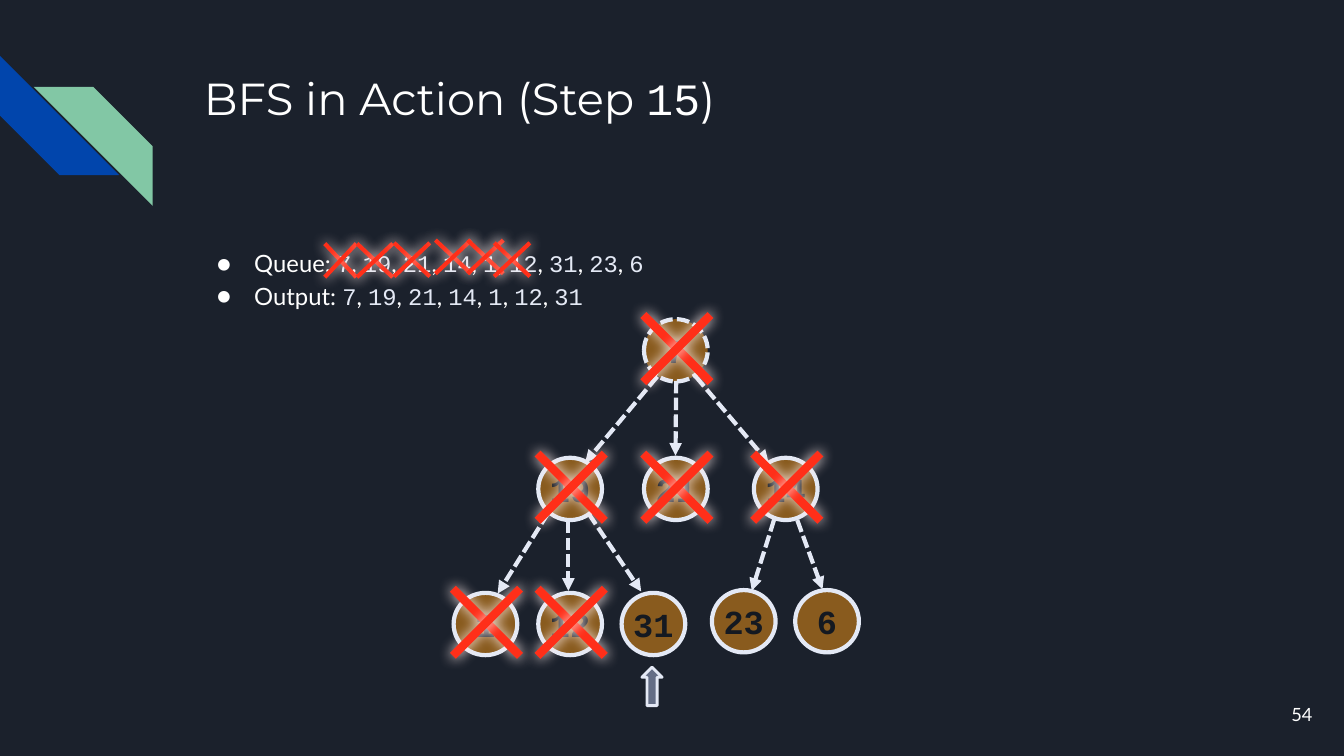
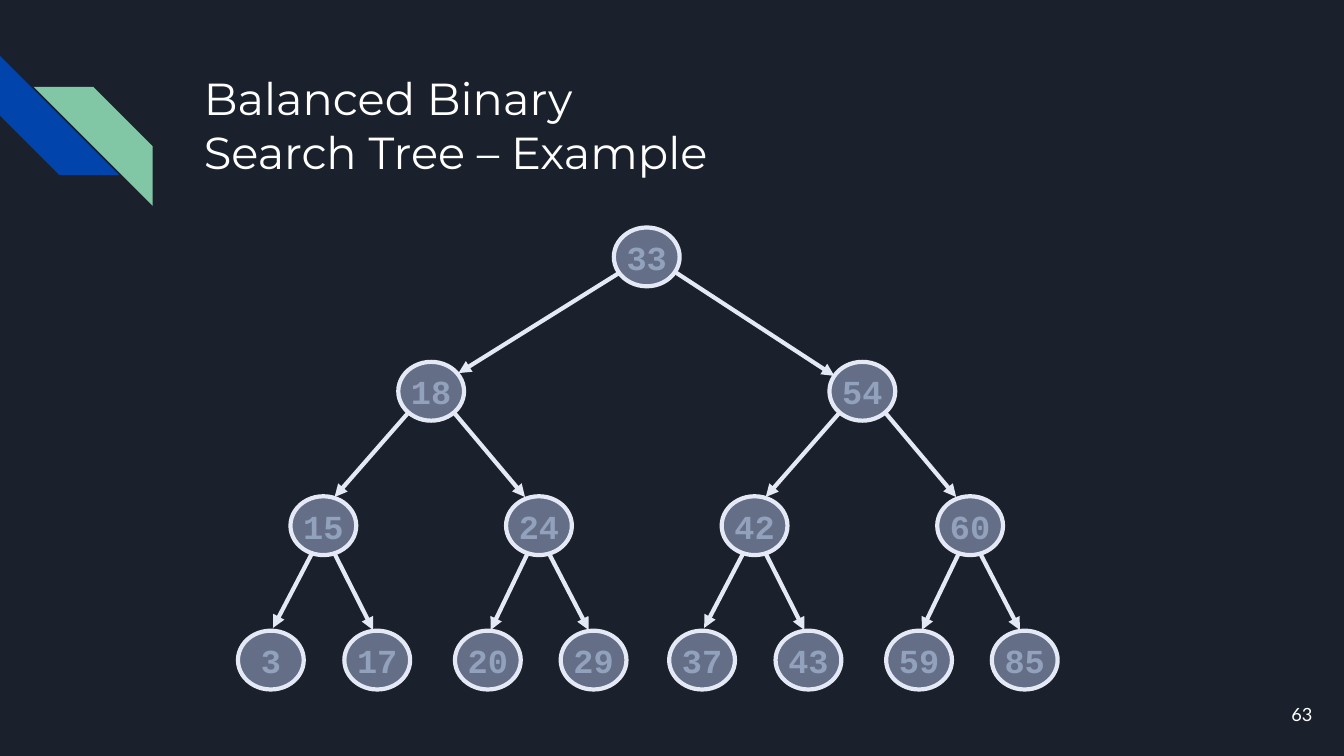
import lxml.etree
import pptx
import pptx.dml.color
import pptx.enum.dml
import pptx.enum.shapes
import pptx.enum.text
import pptx.oxml.ns
import pptx.util

Pt = pptx.util.Pt
RGB = pptx.dml.color.RGBColor
KIND = pptx.enum.shapes.MSO_SHAPE
ALIGN = pptx.enum.text.PP_ALIGN
MIDDLE = pptx.enum.text.MSO_ANCHOR.MIDDLE
DASH = pptx.enum.dml.MSO_LINE.SQUARE_DOT
qn = pptx.oxml.ns.qn
sub = lxml.etree.SubElement

NIGHT = RGB(0x1B, 0x21, 0x2C)
BLUE = RGB(0x01, 0x45, 0xAC)
GREEN = RGB(0x82, 0xC7, 0xA5)
WHITE = RGB(0xFF, 0xFF, 0xFF)
PALE = RGB(0xE4, 0xE9, 0xF5)
BROWN = RGB(0xB8, 0x75, 0x19)
INK = RGB(0x14, 0x19, 0x21)
LILAC = RGB(0xAE, 0xBC, 0xE1)
SLATE = RGB(0x92, 0xA1, 0xBC)
RED = RGB(0xFF, 0x2F, 0x19)
GLOW = "FFEDEB"

HEAD, BODY, CODE = "Montserrat", "Lato", "Courier New"
PAD = {"margin_left": Pt(9.6), "margin_right": Pt(9.6),
       "margin_top": Pt(9.6), "margin_bottom": Pt(9.6), "word_wrap": True}
CENTRE = {"vertical_anchor": MIDDLE, "word_wrap": False}


def form(slide, kind, box, fill, alpha=100, edge=0):
    """Add a preset shape with a fill of the given opacity and a pale outline."""
    shape = slide.shapes.add_shape(kind, *map(Pt, box))
    shape.shadow.inherit = False
    shape.fill.solid()
    shape.fill.fore_color.rgb = fill
    if alpha < 100:
        tint = shape._element.spPr.find(qn("a:solidFill"))[0]
        sub(tint, qn("a:alpha"), val=str(alpha * 1000))
    if edge:
        shape.line.color.rgb = PALE
        shape.line.width = Pt(edge)
    else:
        shape.line.fill.background()
    return shape


def link(slide, ends, colour=PALE, width=3, dash=None, arrow=True):
    """Add a straight line: an arrow, or a glowing stroke without a head."""
    line = slide.shapes.add_connector(
        pptx.enum.shapes.MSO_CONNECTOR.STRAIGHT, *map(Pt, ends))
    line.line.color.rgb = colour
    line.line.width = Pt(width)
    if dash:
        line.line.dash_style = dash
    effect = sub(line._element.spPr, qn("a:effectLst"))
    if arrow:
        sub(line.line._get_or_add_ln(), qn("a:tailEnd"), type="triangle")
    else:
        halo = sub(effect, qn("a:outerShdw"), blurRad=str(Pt(10)), dist="0",
                   dir="5400000", rotWithShape="0")
        sub(halo, qn("a:srgbClr"), val=GLOW)


deck = pptx.Presentation()
deck.slide_width, deck.slide_height = Pt(960), Pt(540)

# Each text: frame, paragraphs of (words, font, colour), frame format, size, alignment
texts = []
pages = []
titles = [
    ([("BFS in Action (Step ", HEAD, WHITE), ("15", CODE, WHITE), (")", HEAD, WHITE)], "54"),
    ([("Balanced Binary", HEAD, WHITE), ("\v", HEAD, WHITE),
      ("Search Tree – Example", HEAD, WHITE)], "63"),
]
for title, number in titles:
    page = deck.slides.add_slide(deck.slide_layouts[6])
    pages.append(page)
    page.background.fill.solid()
    page.background.fill.fore_color.rgb = NIGHT
    left = form(page, KIND.DIAGONAL_STRIPE, (0, 40, 85, 85), BLUE)
    left.rotation = 270
    right = form(page, KIND.DIAGONAL_STRIPE, (24, 62, 85, 85), GREEN)
    right._element.spPr.find(qn("a:xfrm")).set("flipH", "1")
    box = page.shapes.add_textbox(Pt(136), Pt(41), Pt(739), Pt(96))
    texts.append((box.text_frame, [title], PAD, 32, ALIGN.LEFT))
    box = page.shapes.add_textbox(Pt(889), Pt(490), Pt(58), Pt(41))
    texts.append((box.text_frame, [[(number, BODY, WHITE)]],
                  PAD | {"vertical_anchor": MIDDLE}, 13, ALIGN.RIGHT))

# Breadth-first search: queue and output
search, tree = pages
order = ["7", "19", "21", "14", "1", "12", "31", "23", "6"]
lists = []
for label, values in (("Queue: ", order), ("Output: ", order[:7])):
    runs = [(label, BODY, WHITE)]
    for value in values:
        runs += [(value, CODE, PALE), (", ", BODY, WHITE)]
    lists.append(runs[:-1])
box = search.shapes.add_textbox(Pt(136), Pt(165), Pt(739), Pt(306))
texts.append((box.text_frame, lists, PAD, 17, ALIGN.LEFT))
for para in (box.text_frame.paragraphs[0], box.text_frame.add_paragraph()):
    para.line_spacing = 1.15
    props = para._p.get_or_add_pPr()
    props.set("marL", str(Pt(36)))
    props.set("indent", str(Pt(-26.6)))
    sub(sub(props, qn("a:buClr")), qn("a:srgbClr"), val=str(WHITE))
    sub(props, qn("a:buFont"), typeface=BODY)
    sub(props, qn("a:buChar"), char="●")

# Search tree: left and top of each node
spots = {"7": (460, 228), "19": (384.5, 327), "21": (460, 327), "14": (538.5, 327),
         "1": (324, 423.5), "12": (384.5, 423.5), "31": (444, 423.5),
         "23": (508.5, 421.5), "6": (568, 421.5)}
for name, (x, y) in spots.items():
    node = form(search, KIND.OVAL, (x, y, 45.5, 44.5), BROWN, 70, 3)
    if name == "7":
        node.line.dash_style = DASH
    texts.append((node.text_frame, [[(name, CODE, INK)]], CENTRE, 24, ALIGN.CENTER))
for ends in ((497, 269, 549, 330.5), (483, 272, 482.5, 325.5), (469.5, 269, 418, 330.5),
             (391.5, 366.5, 355.5, 424), (406, 372, 406, 422), (420.5, 367, 458, 422.5),
             (553, 371, 537, 422), (569.5, 371.5, 587.5, 421)):
    link(search, ends, dash=DASH)

# Crosses: left, top, width, height, stroke
crosses = [(x - 0.5, y - 3, 48, 48, 6) for x, y in map(spots.get, order[:6])]
crosses += [(x, y, w, 24, 3) for x, y, w in (
    (232, 174, 22.5), (255, 174, 25.5), (281.5, 173.5, 25.5),
    (311, 171.5, 25.5), (334, 171.5, 25.5), (353, 173.5, 25.5))]
for x, y, w, h, stroke in crosses:
    for ends in ((x, y, x + w, y + h), (x + w, y, x, y + h)):
        link(search, ends, RED, stroke, arrow=False)
marker = form(search, KIND.RIGHT_ARROW, (452, 483, 27.5, 14.5), LILAC, 50, 2)
marker.rotation = 270

# Balanced tree: the right half repeats the left one, shifted
half = [(284.5, 258.5), (207.5, 354.5), (361.5, 354.5),
        (170, 450.5), (246, 450.5), (325, 450.5), (400.5, 450.5)]
edges = [(291.5, 295, 239, 355), (324.5, 295, 375, 355),
         (223, 395, 195, 448.5), (238.5, 394.5, 266.5, 450),
         (377, 395, 350.5, 450), (392.5, 396, 420.5, 450)]
nodes = [("33", 438.5, 162.5)]
lines = [(443, 194.5, 327.5, 266.5), (482.5, 194.5, 596, 268.5)]
for shift, names in ((0, "18 15 24 3 17 20 29"), (308, "54 42 60 37 43 59 85")):
    nodes += [(name, x + shift, y) for name, (x, y) in zip(names.split(), half)]
    lines += [(a + shift, b, c + shift, d) for a, b, c, d in edges]
for name, x, y in nodes:
    node = form(tree, KIND.OVAL, (x, y, 47, 42), LILAC, 50, 3)
    texts.append((node.text_frame, [[(name, CODE, SLATE)]], CENTRE, 24, ALIGN.CENTER))
for ends in lines:
    link(tree, ends)

# Fill every frame with its text
for frame, paras, looks, size, align in texts:
    for key, value in looks.items():
        setattr(frame, key, value)
    for para, runs in zip(frame.paragraphs, paras):
        para.alignment = align
        for words, face, colour in runs:
            if words == "\v":
                para.add_line_break()
                continue
            run = para.add_run()
            run.text = words
            run.font.color.rgb = colour
            style = {"name": face, "size": Pt(size), "bold": looks is CENTRE}
            for key, value in style.items():
                setattr(run.font, key, value)

deck.save("out.pptx")
